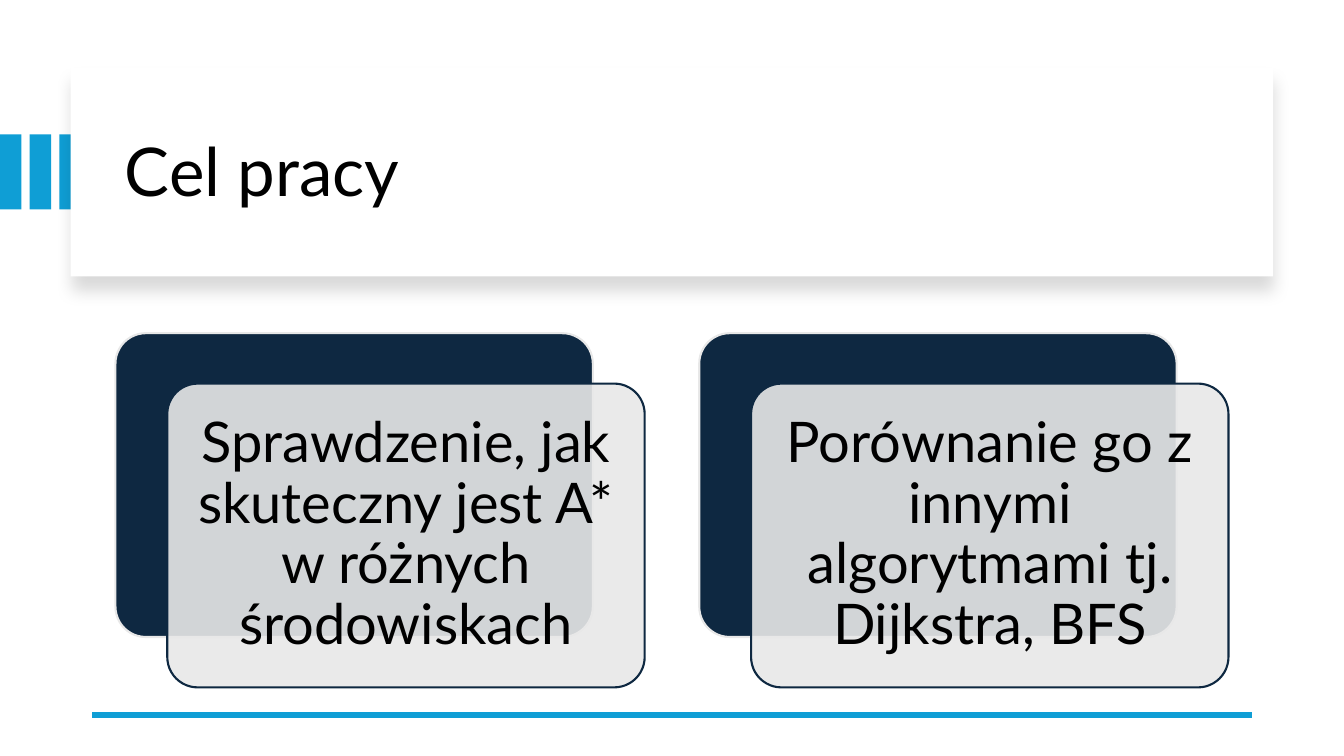
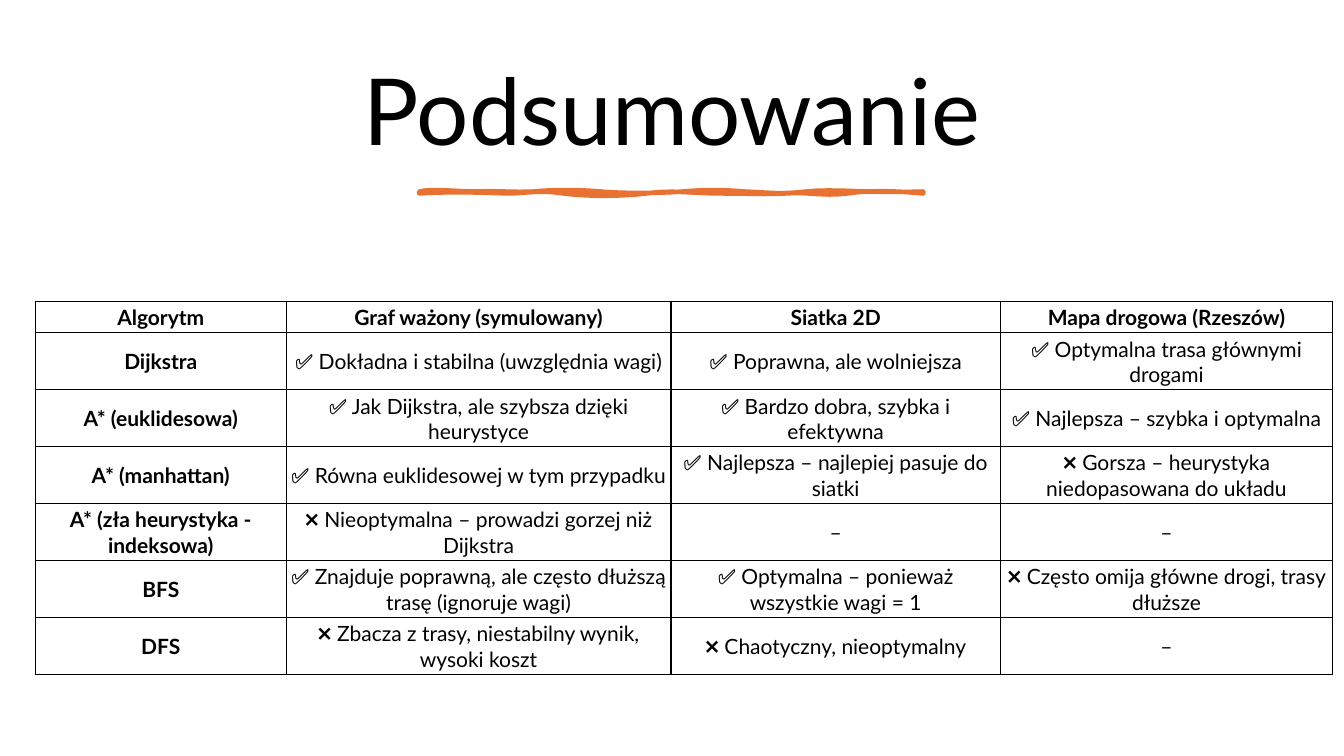
"""Build a two-slide deck on comparing path-finding algorithms."""
from lxml.etree import SubElement
from pptx import Presentation
from pptx.dml.color import RGBColor
from pptx.enum.shapes import MSO_CONNECTOR, MSO_SHAPE
from pptx.enum.text import MSO_ANCHOR, MSO_AUTO_SIZE, PP_ALIGN
from pptx.oxml.ns import qn
from pptx.util import Pt

BLACK = RGBColor(0x00, 0x00, 0x00)
WHITE = RGBColor(0xFF, 0xFF, 0xFF)
BLUE = RGBColor(0x0F, 0x9E, 0xD5)
NAVY = RGBColor(0x0E, 0x28, 0x41)
GREY = RGBColor(0xE8, 0xE8, 0xE8)
ORANGE = RGBColor(0xE9, 0x71, 0x32)

GOALS = [
    "Sprawdzenie, jak skuteczny jest A* w różnych środowiskach",
    "Porównanie go z innymi algorytmami tj. Dijkstra, BFS",
]

RESULTS = [
    ["Algorytm", "Graf ważony (symulowany)", "Siatka 2D", "Mapa drogowa (Rzeszów)"],
    ["Dijkstra", "✅ Dokładna i stabilna (uwzględnia wagi)",
     "✅ Poprawna, ale wolniejsza", "✅ Optymalna trasa głównymi drogami"],
    ["A* (euklidesowa)", "✅ Jak Dijkstra, ale szybsza dzięki heurystyce",
     "✅ Bardzo dobra, szybka i efektywna", "✅ Najlepsza – szybka i optymalna"],
    ["A* (manhattan)", "✅ Równa euklidesowej w tym przypadku",
     "✅ Najlepsza – najlepiej pasuje do siatki",
     "❌ Gorsza – heurystyka niedopasowana do układu"],
    ["A* (zła heurystyka - indeksowa)",
     "❌ Nieoptymalna – prowadzi gorzej niż Dijkstra", "–", "–"],
    ["BFS", "✅ Znajduje poprawną, ale często dłuższą trasę (ignoruje wagi)",
     "✅ Optymalna – ponieważ wszystkie wagi = 1",
     "❌ Często omija główne drogi, trasy dłuższe"],
    ["DFS", "❌ Zbacza z trasy, niestabilny wynik, wysoki koszt",
     "❌ Chaotyczny, nieoptymalny", "–"],
]

BRUSH_TOP = [
    (299.5, 136.8),
    (308, 134.6), (327, 136.8), (340.5, 136.8),
    (354, 136.1), (366.5, 137.5), (381, 136.8),
    (395, 135.4), (413, 135.4), (429, 136.8),
    (444, 138.2), (470, 138.2), (487.5, 136.8),
    (505.5, 135.4), (514, 135.4), (532, 136.8),
    (549.5, 137.5), (557, 139), (576, 136.8),
    (594.5, 134.6), (624, 138.2), (659.5, 136.8),
]
BRUSH_BOTTOM = [
    (659.5, 138.2),
    (644.5, 136.8), (623, 135.4), (605, 138.2),
    (587, 140.4), (576.5, 136.8), (561, 138.2),
    (544.5, 139), (538, 138.2), (516, 138.2),
    (494.5, 138.2), (480, 135.4), (461.5, 138.2),
    (442, 140.4), (421, 140.4), (402.5, 138.2),
    (384.5, 135.4), (376.5, 138.2), (362, 138.2),
    (348, 137.5), (315.5, 136.8), (299.5, 138.2),
]


def sample_curve(points, steps=8):
    """Return points along a chain of cubic Bézier curves."""
    sampled = [points[0]]
    for index in range(0, len(points) - 1, 3):
        segment = points[index:index + 4]
        for step in range(1, steps + 1):
            t = step / steps
            weights = ((1 - t) ** 3, 3 * t * (1 - t) ** 2, 3 * t * t * (1 - t), t ** 3)
            sampled.append(tuple(
                sum(weight * point[axis] for weight, point in zip(weights, segment))
                for axis in (0, 1)))
    return sampled


class Deck:
    """Hold the shared style and the current slide."""

    font_name = "Lato"

    def __init__(self):
        """Start an empty widescreen presentation."""
        self.presentation = Presentation()
        self.presentation.slide_width = Pt(960)
        self.presentation.slide_height = Pt(540)
        self.slide = None

    def add_slide(self):
        """Open a new slide with a title placeholder."""
        layout = self.presentation.slide_layouts.get_by_name("Title Only")
        self.slide = self.presentation.slides.add_slide(layout)

    def set_text(self, frame, text, size, align=PP_ALIGN.CENTER, bold=False, spacing=0.9):
        """Put one styled paragraph into a text frame."""
        frame.text = text
        paragraph = frame.paragraphs[0]
        paragraph.alignment = align
        paragraph.line_spacing = spacing
        paragraph.font.name = self.font_name
        paragraph.font.size = Pt(size)
        paragraph.font.bold = bold
        paragraph.font.color.rgb = BLACK

    def title(self, text, box, size, align=PP_ALIGN.CENTER):
        """Place the title in front of the shapes drawn so far."""
        title = self.slide.shapes.title
        title.left, title.top, title.width, title.height = map(Pt, box)
        title.text_frame.auto_size = MSO_AUTO_SIZE.NONE
        title.text_frame.vertical_anchor = MSO_ANCHOR.MIDDLE
        self.set_text(title.text_frame, text, size, align)
        title.element.getparent().append(title.element)

    def paint(self, shape, fill, line=None, weight=1.5):
        """Give a shape its fill and outline, without a shadow."""
        shape.shadow.inherit = False
        shape.fill.solid()
        shape.fill.fore_color.rgb = fill
        if line is None:
            shape.line.fill.background()
        else:
            shape.line.color.rgb = line
            shape.line.width = Pt(weight)

    def block(self, box, fill, line=None, kind=MSO_SHAPE.RECTANGLE):
        """Add a preset shape."""
        shape = self.slide.shapes.add_shape(kind, *map(Pt, box))
        self.paint(shape, fill, line)
        return shape

    def title_card(self, box):
        """Add the white card with a soft shadow below it."""
        card = self.block(box, WHITE)
        effects = card.element.spPr.find(qn("a:effectLst"))
        shadow = SubElement(effects, qn("a:outerShdw"), blurRad=str(Pt(11)),
                            dist=str(Pt(10)), dir="5400000", algn="t", rotWithShape="0")
        color = SubElement(shadow, qn("a:srgbClr"), val=str(BLACK))
        SubElement(color, qn("a:alpha"), val="15000")

    def rounded(self, box, fill, line):
        """Add a rounded rectangle."""
        shape = self.block(box, fill, line, MSO_SHAPE.ROUNDED_RECTANGLE)
        shape.adjustments[0] = 0.1
        return shape

    def goal(self, text, left, top):
        """Add a translucent text card over a dark backing card."""
        width, height, shift = 341, 217, 37
        self.rounded((left, top, width, height), NAVY, GREY)
        card = self.rounded((left + shift, top + shift - 1, width, height), GREY, NAVY)
        color = card.element.spPr.find(qn("a:solidFill")).find(qn("a:srgbClr"))
        SubElement(color, qn("a:alpha"), val="90000")
        frame = card.text_frame
        frame.word_wrap = True
        frame.vertical_anchor = MSO_ANCHOR.MIDDLE
        frame.margin_left = frame.margin_right = Pt(12)
        frame.margin_top = frame.margin_bottom = Pt(12)
        self.set_text(frame, text, 40)

    def rule(self, start, end):
        """Add a thick straight line."""
        line = self.slide.shapes.add_connector(
            MSO_CONNECTOR.STRAIGHT, *map(Pt, start + end))
        line.line.color.rgb = BLUE
        line.line.width = Pt(4.5)
        SubElement(line.element.spPr, qn("a:effectLst"))

    def brush_stroke(self):
        """Add the wavy underline below the title."""
        outline = sample_curve(BRUSH_TOP) + sample_curve(BRUSH_BOTTOM)
        points = [(Pt(x), Pt(y)) for x, y in outline]
        builder = self.slide.shapes.build_freeform(*points[0], scale=1.0)
        builder.add_line_segments(points[1:], close=True)
        self.paint(builder.convert_to_shape(), ORANGE, ORANGE, 3.25)

    def cell(self, cell, text, bold):
        """Fill one table cell and draw its borders."""
        cell.margin_left = cell.margin_right = cell.margin_top = Pt(0.75)
        cell.margin_bottom = Pt(0)
        cell.vertical_anchor = MSO_ANCHOR.MIDDLE
        self.set_text(cell.text_frame, text, 15, bold=bold, spacing=1.0)
        properties = cell._tc.get_or_add_tcPr()
        for side in "LRTB":
            border = SubElement(properties, qn(f"a:ln{side}"), w=str(Pt(1)))
            fill = SubElement(border, qn("a:solidFill"))
            SubElement(fill, qn("a:srgbClr"), val=str(BLACK))
        cell.fill.background()

    def table(self, rows, left, top, widths, heights):
        """Add a bordered table with a bold first row and column."""
        frame = self.slide.shapes.add_table(
            len(rows), len(widths), Pt(left), Pt(top), Pt(sum(widths)), Pt(sum(heights)))
        table = frame.table
        table.first_row = table.horz_banding = False
        for column, width in zip(table.columns, widths):
            column.width = Pt(width)
        for row, height in zip(table.rows, heights):
            row.height = Pt(height)
        for row_index, texts in enumerate(rows):
            for column_index, text in enumerate(texts):
                self.cell(table.cell(row_index, column_index), text,
                          bold=row_index == 0 or column_index == 0)


def main():
    """Build both slides and save them."""
    deck = Deck()

    deck.add_slide()
    for index in range(3):
        deck.block((index * 21.2, 96, 15.3, 53.5), BLUE)
    deck.title_card((50.5, 48.5, 859, 149))
    deck.title("Cel pracy", (82, 64, 801, 122), 48, PP_ALIGN.LEFT)
    deck.rule((894, 510.5), (66, 510.5))
    for index, goal in enumerate(GOALS):
        deck.goal(goal, 82.5 + index * 417, 238)

    deck.add_slide()
    deck.title("Podsumowanie", (50.5, 33, 859, 99), 66)
    deck.brush_stroke()
    deck.table(RESULTS, 25.2, 215.3, [179.3, 274.8, 235.3, 237.4], [22.3] + [40.7] * 6)

    deck.presentation.save("out.pptx")


if __name__ == "__main__":
    main()
